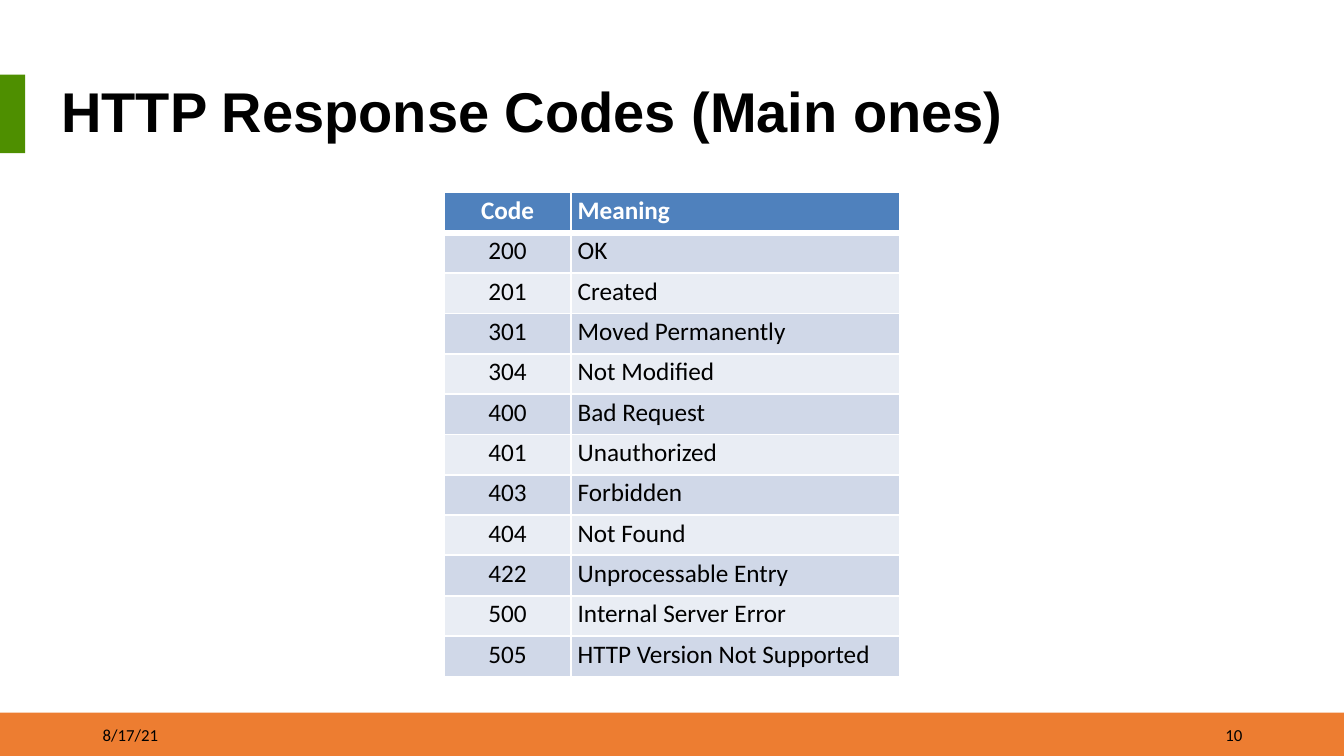
from dataclasses import dataclass

from lxml.etree import SubElement
from pptx import Presentation
from pptx.dml.color import RGBColor as RGB
from pptx.enum.shapes import MSO_SHAPE
from pptx.enum.text import MSO_ANCHOR as ANCHOR, PP_ALIGN as ALIGN
from pptx.oxml.ns import qn
from pptx.util import Inches, Pt


@dataclass(frozen=True)
class Theme:
    black: str = "000000"
    white: str = "FFFFFF"
    orange: str = "ED7D31"
    green: str = "4E8F00"
    header: str = "4F81BD"
    bands: tuple = ("D0D8E8", "E9EDF4")
    title_font: str = "Arial"
    body_font: str = "Calibri"
    title_size: int = 40
    table_size: int = 18
    footer_size: int = 12


theme = Theme()


def write(tf, text, size, color=theme.black, font=theme.body_font, bold=False, align=ALIGN.LEFT):
    """Fill a text frame with one formatted paragraph and return the paragraph."""
    tf.text = text
    p = tf.paragraphs[0]
    p.alignment = align
    r = p.runs[0]
    r.font.name, r.font.size, r.font.bold = font, Pt(size), bold
    r.font.color.rgb = RGB.from_string(color)
    return p


def set_borders(cell, **widths):
    """Draw white cell borders; widths in points by side: L, R, T, B."""
    tcPr = cell._tc.get_or_add_tcPr()
    for side, width in widths.items():
        ln = SubElement(tcPr, qn(f"a:ln{side}"), w=str(Pt(width)))
        fill = SubElement(ln, qn("a:solidFill"))
        SubElement(fill, qn("a:srgbClr"), val=theme.white)


prs = Presentation()
prs.slide_width, prs.slide_height = Inches(13.33), Inches(7.5)
s = prs.slides.add_slide(prs.slide_layouts[6])

# Footer band and title accent
for box, color in [((0, 7.07, 13.33, 0.44), theme.orange), ((0, 0.74, 0.25, 0.78), theme.green)]:
    sp = s.shapes.add_shape(MSO_SHAPE.RECTANGLE, *map(Inches, box))
    sp.shadow.inherit = False
    sp.fill.solid()
    sp.fill.fore_color.rgb = RGB.from_string(color)
    sp.line.fill.background()

# Date and slide number
for left, text, align in [(0.92, "8/17/21", ALIGN.LEFT), (9.42, "10", ALIGN.RIGHT)]:
    tf = s.shapes.add_textbox(Inches(left), Inches(7.09), Inches(3), Inches(0.4)).text_frame
    tf.word_wrap = True
    tf.vertical_anchor = ANCHOR.MIDDLE
    write(tf, text, theme.footer_size, align=align)

# Title
tf = s.shapes.add_textbox(Inches(0.25), Inches(0.74), Inches(12.93), Inches(0.78)).text_frame
tf.word_wrap = True
tf.vertical_anchor = ANCHOR.MIDDLE
tf.margin_left = Inches(0.36)
p = write(tf, "HTTP Response Codes (Main ones)", theme.title_size, font=theme.title_font, bold=True)
p.line_spacing = 0.9

# Response code table
rows = [
    ("Code", "Meaning"),
    ("200", "OK"),
    ("201", "Created"),
    ("301", "Moved Permanently"),
    ("304", "Not Modified"),
    ("400", "Bad Request"),
    ("401", "Unauthorized"),
    ("403", "Forbidden"),
    ("404", "Not Found"),
    ("422", "Unprocessable Entry"),
    ("500", "Internal Server Error"),
    ("505", "HTTP Version Not Supported"),
]
col_widths = (1.25, 3.26)
row_height = 0.4
last = len(rows) - 1
row_lines = [0.75, 4.5] + [1.5] * (last - 1) + [0.75]
col_lines = [0.75, 1.5, 0.75]

table = s.shapes.add_table(
    len(rows), len(col_widths), Inches(4.41), Inches(1.91),
    Inches(sum(col_widths)), Inches(row_height * len(rows)),
).table
for column, width in zip(table.columns, col_widths):
    column.width = Inches(width)

for i, row in enumerate(rows):
    table.rows[i].height = Inches(row_height)
    is_header = i == 0
    fill = theme.header if is_header else theme.bands[(i - 1) % 2]
    for j, text in enumerate(row):
        cell = table.cell(i, j)
        cell.margin_left = Inches(0.07 * j)
        cell.margin_right = cell.margin_bottom = 0
        cell.margin_top = Inches(0.03)
        write(cell.text_frame, text, theme.table_size,
              color=theme.white if is_header else theme.black,
              bold=is_header, align=ALIGN.LEFT if j else ALIGN.CENTER)
        set_borders(cell, L=col_lines[j], R=col_lines[j + 1], T=row_lines[i], B=row_lines[i + 1])
        cell.fill.solid()
        cell.fill.fore_color.rgb = RGB.from_string(fill)

prs.save("out.pptx")
